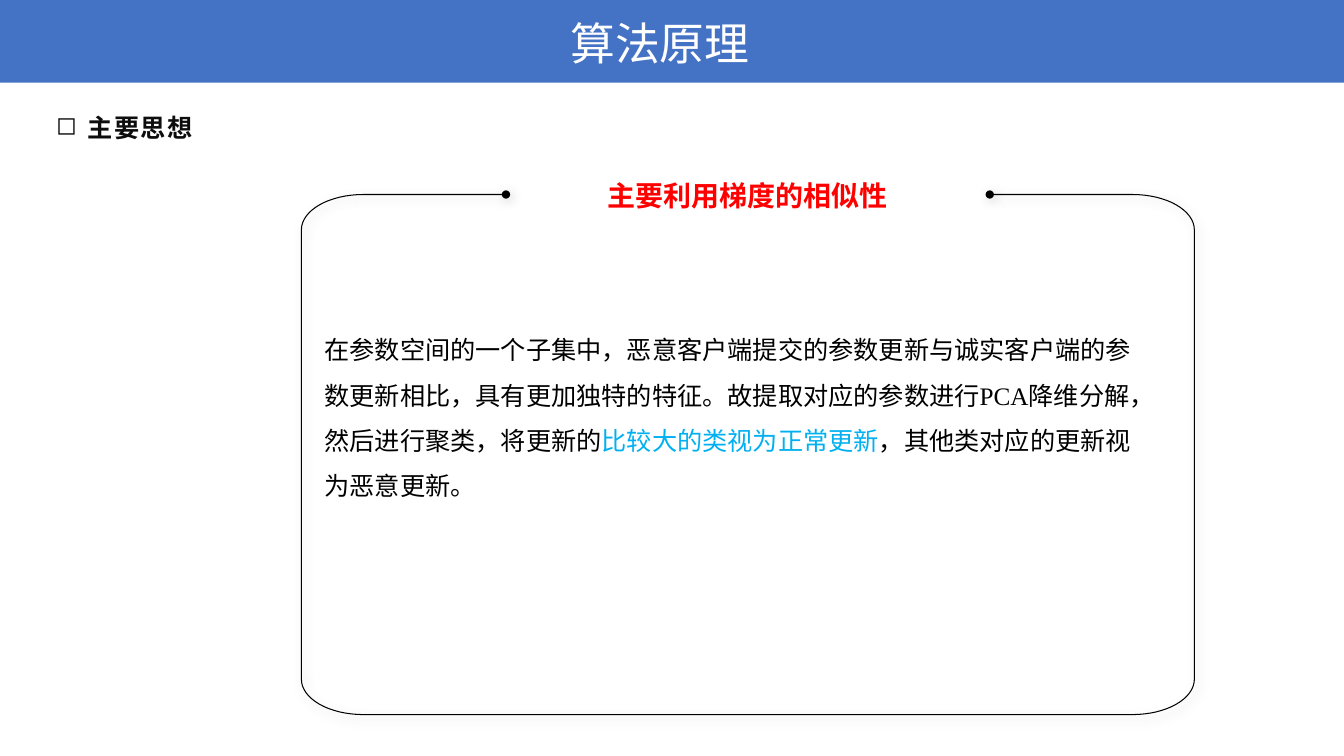
from math import cos, pi, sin

from lxml.etree import SubElement
from pptx import Presentation
from pptx.dml.color import RGBColor
from pptx.enum.shapes import MSO_SHAPE
from pptx.enum.text import MSO_AUTO_SIZE, PP_ALIGN
from pptx.oxml.ns import qn
from pptx.util import Inches, Pt

WIDE, HIGH = Inches(13.333), Inches(7.5)
INK = {
    "band": "4472C4", "white": "FFFFFF", "head": "0D0D0D",
    "body": "000000", "blue": "00B0F0", "red": "FF0000", "shade": "808080",
}
LOOK = {
    "title": {"size": Pt(32)},
    "head": {"size": Pt(18), "bold": True},
    "body": {"size": Pt(18)},
    "claim": {"size": Pt(20), "bold": True},
}


def paint(ink):
    return RGBColor.from_string(INK[ink])


def across(share):
    return round(WIDE * share / 100)


def down(share):
    return round(HIGH * share / 100)


def place(left, top, width, height):
    return across(left), down(top), across(width), down(height)


def add_band(slide, area, ink):
    band = slide.shapes.add_shape(MSO_SHAPE.RECTANGLE, *place(*area))
    band.shadow.inherit = False
    band.fill.solid()
    band.fill.fore_color.rgb = paint(ink)
    band.line.fill.background()


def add_text(slide, area, look, runs, **form):
    frame = slide.shapes.add_textbox(*place(*area)).text_frame
    frame.word_wrap = True
    frame.auto_size = MSO_AUTO_SIZE.SHAPE_TO_FIT_TEXT
    para = frame.paragraphs[0]
    for name, value in form.items():
        setattr(para, name, value)
    for words, ink in runs:
        run = para.add_run()
        run.text = words
        run.font.name = "Times New Roman"
        run.font.color.rgb = paint(ink)
        for name, value in LOOK[look].items():
            setattr(run.font, name, value)
    return para


def add_mark(para, sign):
    props = para._p.get_or_add_pPr()
    props.set("marL", str(Inches(0.31)))
    props.set("indent", str(-Inches(0.31)))
    SubElement(props, qn("a:buChar")).set("char", sign)
    for run in para.runs:
        run.font._element.set("spc", "100")


def trace(mid, half, gap, top, base, bend, steps=16):
    wide, tall = bend
    spots = [(mid + gap, top)]
    turns = [(1, top + tall), (1, base - tall), (-1, base - tall), (-1, top + tall)]
    for turn, (side, level) in enumerate(turns):
        hub = mid + side * (half - wide)
        for step in range(steps + 1):
            angle = (turn - 1 + step / steps) * pi / 2
            spots.append((hub + wide * cos(angle), level + tall * sin(angle)))
    spots.append((mid - gap, top))
    return [(across(x), down(y)) for x, y in spots]


def add_shade(shape):
    props = shape._element.spPr
    shade = SubElement(SubElement(props, qn("a:effectLst")), qn("a:outerShdw"))
    for name, value in {
        "blurRad": Pt(8), "dist": Pt(3), "dir": 45 * 60000,
        "algn": "tl", "rotWithShape": 0,
    }.items():
        shade.set(name, str(value))
    tone = SubElement(shade, qn("a:srgbClr"))
    tone.set("val", INK["shade"])
    SubElement(tone, qn("a:alpha")).set("val", "40000")


def add_frame(slide, spots):
    pen = slide.shapes.build_freeform(*spots[0], scale=1.0)
    pen.add_line_segments(spots[1:], close=False)
    frame = pen.convert_to_shape()
    frame.fill.background()
    frame.line.color.rgb = paint("body")
    frame.line.width = Pt(0.75)
    stroke = frame.line._get_or_add_ln()
    for end in ("a:headEnd", "a:tailEnd"):
        SubElement(stroke, qn(end)).set("type", "oval")
    add_shade(frame)


def main():
    deck = Presentation()
    deck.slide_width, deck.slide_height = WIDE, HIGH
    slide = deck.slides.add_slide(deck.slide_layouts[6])
    add_band(slide, (0, 0, 100, 10.93), "band")
    add_text(slide, (41.7, 1.47, 30.08, 8.53), "title", [("算法原理", "white")])
    head = add_text(slide, (3.45, 13.47, 93.15, 6.13), "head",
                    [("主要思想", "head")], line_spacing=1.2)
    add_mark(head, "◻")
    add_text(slide, (23.4, 41.6, 62.78, 25.6), "body", [
        ("在参数空间的一个子集中，恶意客户端提交的参数更新与诚实客户端的参数更新相比，"
         "具有更加独特的特征。故提取对应的参数进行PCA降维分解，然后进行聚类，将更新的", "body"),
        ("比较大的类视为正常更新", "blue"),
        ("，其他类对应的更新视为恶意更新。", "body"),
    ], line_spacing=1.5)
    add_frame(slide, trace(55.65, 33.22, 18, 25.73, 94.53, (4.61, 4.67)))
    add_text(slide, (37.5, 22.93, 36.23, 5.87), "claim",
             [("主要利用梯度的相似性", "red")], alignment=PP_ALIGN.CENTER)
    deck.save("out.pptx")


if __name__ == "__main__":
    main()
